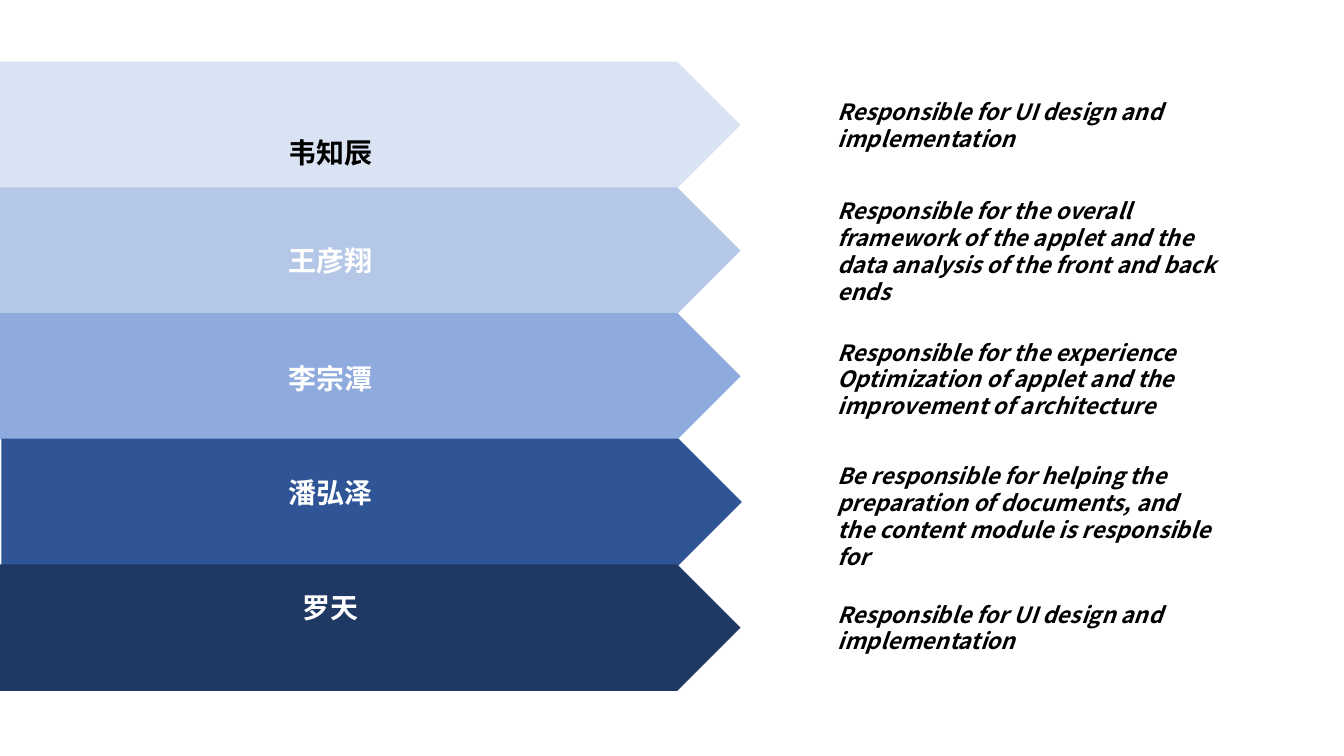
from lxml.etree import SubElement
from pptx import Presentation
from pptx.dml.color import RGBColor
from pptx.enum.shapes import MSO_SHAPE
from pptx.enum.text import MSO_AUTO_SIZE, PP_ALIGN
from pptx.oxml.ns import qn
from pptx.util import Inches, Pt

FONT = "Noto Sans CJK SC"
COLORS = {
    "ice": "DAE3F3", "pale": "B4C7E7", "mid": "8FAADC", "deep": "2F5597",
    "navy": "203864", "black": "000000", "white": "FFFFFF",
}

# name, name colour, arrow colour, arrow left, name top, duty top, duty height, duty
MEMBERS = [
    ("韦知辰", "black", "ice", 0, 0.97, 0.69, 0.48,
     "Responsible for UI design and implementation"),
    ("王彦翔", "white", "pale", 0, 1.77, 1.43, 0.88,
     "Responsible for the overall framework of the applet and the data "
     "analysis of the front and back ends"),
    ("李宗潭", "white", "mid", 0, 2.65, 2.48, 0.68,
     "Responsible for the experience Optimization of applet and the "
     "improvement of architecture"),
    ("潘弘泽", "white", "deep", 0.01, 3.5, 3.4, 0.68,
     "Be responsible for helping the preparation of documents, and the "
     "content module is responsible for"),
    ("罗天", "white", "navy", 0, 4.35, 4.43, 0.48,
     "Responsible for UI design and implementation"),
]

ARROW_TOP, ARROW_BOTTOM = 0.46, 5.14
ARROW_W, ARROW_H = 5.51, 0.94
ARROW_PITCH = (ARROW_BOTTOM - ARROW_TOP - ARROW_H) / (len(MEMBERS) - 1)
NAME_LEFT, NAME_W, NAME_H = 1.75, 1.42, 0.33
DUTY_LEFT, DUTY_W = 6.16, 2.98


def color(name):
    return RGBColor.from_string(COLORS[name])


def add_arrow(s, left, top, fill):
    sp = s.shapes.add_shape(MSO_SHAPE.PENTAGON, Inches(left), Inches(top),
                            Inches(ARROW_W), Inches(ARROW_H))
    sp.shadow.inherit = False
    sp.fill.solid()
    sp.fill.fore_color.rgb = color(fill)
    sp.line.fill.background()


def add_text(s, box, text, size, ink, align=PP_ALIGN.LEFT, italic=None):
    tf = s.shapes.add_textbox(*map(Inches, box)).text_frame
    tf.word_wrap = True
    tf.auto_size = MSO_AUTO_SIZE.SHAPE_TO_FIT_TEXT
    tf.margin_left = tf.margin_right = Inches(0.07)
    tf.margin_top = tf.margin_bottom = Inches(0.04)
    p = tf.paragraphs[0]
    p.text = text
    p.alignment = align
    font = p.runs[0].font
    font.name, font.size = FONT, Pt(size)
    font.bold, font.italic = True, italic
    font.color.rgb = color(ink)
    SubElement(font._element, qn("a:ea")).set("typeface", FONT)


prs = Presentation()
prs.slide_width = Inches(10)
prs.slide_height = prs.slide_width * 9 // 16
s = prs.slides.add_slide(prs.slide_layouts[6])

for i, member in enumerate(MEMBERS):
    add_arrow(s, member[3], ARROW_TOP + i * ARROW_PITCH, member[2])

for name, ink, _, _, name_top, duty_top, duty_h, duty in MEMBERS:
    add_text(s, (DUTY_LEFT, duty_top, DUTY_W, duty_h), duty, 12, "black",
             italic=True)
    add_text(s, (NAME_LEFT, name_top, NAME_W, NAME_H), name, 15, ink,
             PP_ALIGN.CENTER)

prs.save("out.pptx")
